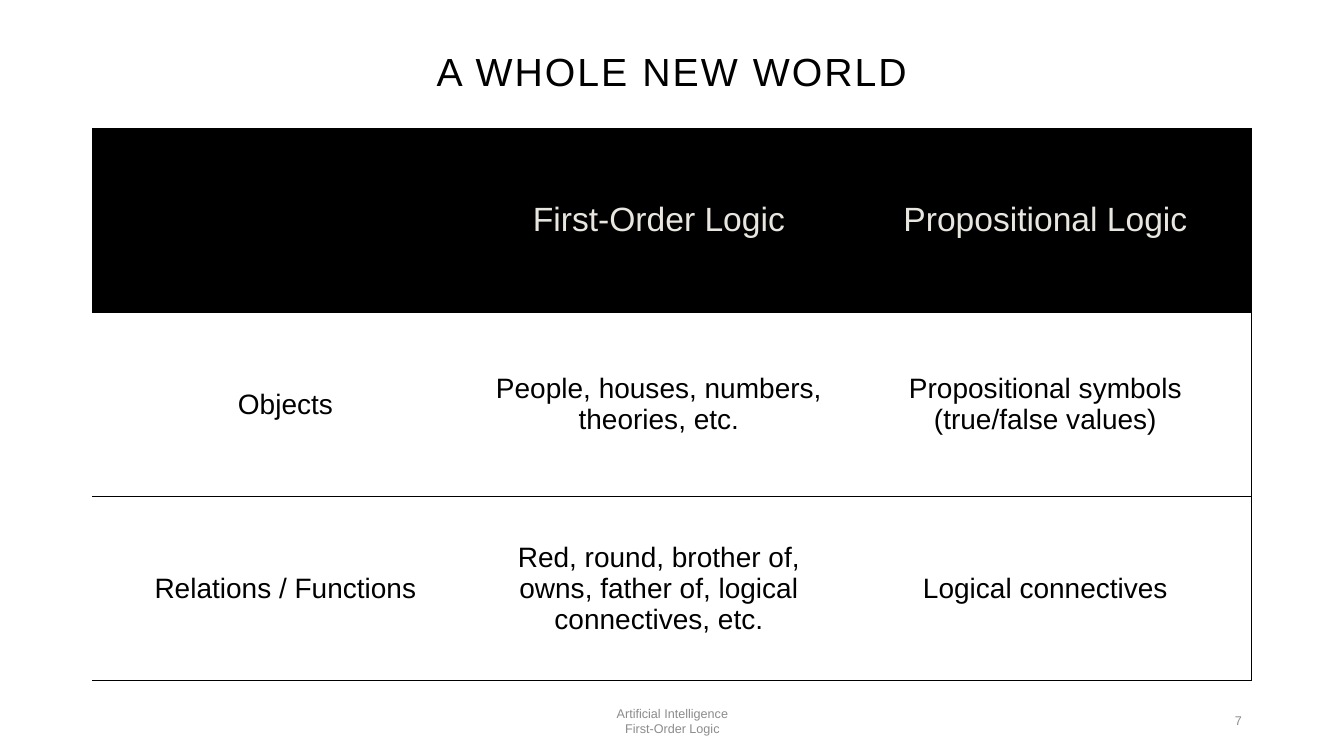
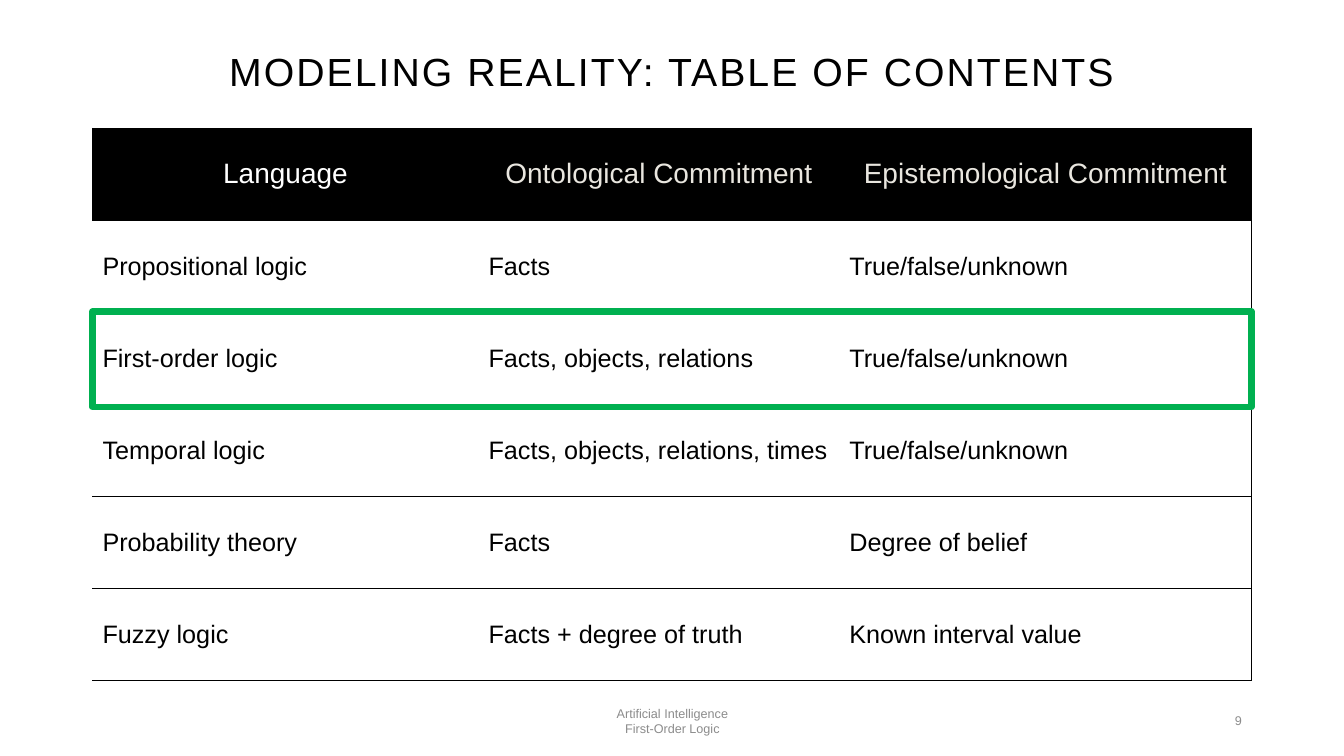
"""Build two table slides comparing first-order logic with other languages."""
from lxml.etree import SubElement
from pptx import Presentation
from pptx.dml.color import RGBColor
from pptx.enum.shapes import MSO_SHAPE
from pptx.enum.text import MSO_ANCHOR, PP_ALIGN
from pptx.oxml.ns import qn
from pptx.util import Cm, Pt

BLACK, WHITE, CREAM, GREY, GREEN = "000000", "FFFFFF", "E9E6DF", "8C8C8C", "00B050"
FONT = "Arial"
LEFT, TOP, WIDTH, HEIGHT = 2.33, 3.23, 29.21, 13.92
COLUMN_WIDTHS = [9.73, 9.09, 10.39]
FOOTER_TOP, FOOTER_HEIGHT = 17.65, 1.02


def color(value):
    return RGBColor.from_string(value)


def write(frame, lines, size, ink, align):
    frame.word_wrap = True
    frame.vertical_anchor = MSO_ANCHOR.MIDDLE
    for index, line in enumerate(lines):
        paragraph = frame.add_paragraph() if index else frame.paragraphs[0]
        paragraph.alignment = align
        run = paragraph.add_run()
        run.text = line
        run.font.name = FONT
        run.font.size = Pt(size)
        run.font.color.rgb = color(ink)
    return paragraph


slides = [
    {
        "title": "A WHOLE NEW WORLD",
        "number": "7",
        "header_size": 24,
        "body_size": 20,
        "body_align": PP_ALIGN.CENTER,
        "rows": [
            ["", "First-Order Logic", "Propositional Logic"],
            ["Objects", "People, houses, numbers, theories, etc.",
             "Propositional symbols (true/false values)"],
            ["Relations / Functions",
             "Red, round, brother of, owns, father of, logical connectives, etc.",
             "Logical connectives"],
        ],
    },
    {
        "title": "MODELING REALITY: TABLE OF CONTENTS",
        "number": "9",
        "header_size": 20,
        "body_size": 18,
        "body_align": PP_ALIGN.LEFT,
        "highlight": (7.85, 2.41),
        "rows": [
            ["Language", "Ontological Commitment", "Epistemological Commitment"],
            ["Propositional logic", "Facts", "True/false/unknown"],
            ["First-order logic", "Facts, objects, relations", "True/false/unknown"],
            ["Temporal logic", "Facts, objects, relations, times", "True/false/unknown"],
            ["Probability theory", "Facts", "Degree of belief"],
            ["Fuzzy logic", "Facts + degree of truth", "Known interval value"],
        ],
    },
]

deck = Presentation()
deck.slide_width, deck.slide_height = Cm(33.87), Cm(19.05)

for content in slides:
    slide = deck.slides.add_slide(deck.slide_layouts[6])

    title = slide.shapes.add_textbox(Cm(LEFT), Cm(1.02), Cm(WIDTH), Cm(1.7))
    heading = write(title.text_frame, [content["title"]], 28, BLACK, PP_ALIGN.CENTER)
    heading.line_spacing = 0.9
    heading.runs[0].font._element.set("spc", "150")

    rows = content["rows"]
    table = slide.shapes.add_table(
        len(rows), len(COLUMN_WIDTHS), Cm(LEFT), Cm(TOP), Cm(WIDTH), Cm(HEIGHT)
    ).table
    table.first_row = table.horz_banding = False
    for column, width in zip(table.columns, COLUMN_WIDTHS):
        column.width = Cm(width)
    for r, texts in enumerate(rows):
        table.rows[r].height = Cm(HEIGHT / len(rows))
        for c, text in enumerate(texts):
            cell = table.cell(r, c)
            is_header = r == 0
            borders = {
                "a:lnL": is_header and c == 0,
                "a:lnR": c == len(texts) - 1,
                "a:lnT": True,
                "a:lnB": True,
            }
            properties = cell._tc.get_or_add_tcPr()
            for tag, visible in borders.items():
                border = SubElement(properties, qn(tag), w=str(Pt(0.5)))
                if visible:
                    fill = SubElement(border, qn("a:solidFill"))
                    SubElement(fill, qn("a:srgbClr"), val=BLACK)
                else:
                    SubElement(border, qn("a:noFill"))
            cell.vertical_anchor = MSO_ANCHOR.MIDDLE
            if is_header:
                cell.fill.solid()
                cell.fill.fore_color.rgb = color(BLACK)
                ink = CREAM if c else WHITE
                size, align = content["header_size"], PP_ALIGN.CENTER
            else:
                cell.fill.background()
                ink, size, align = BLACK, content["body_size"], content["body_align"]
            if text:
                write(cell.text_frame, [text], size, ink, align)

    footer = slide.shapes.add_textbox(
        Cm(11.23), Cm(FOOTER_TOP), Cm(11.43), Cm(FOOTER_HEIGHT))
    write(footer.text_frame, ["Artificial Intelligence", "First-Order Logic"],
          9, GREY, PP_ALIGN.CENTER)
    number = slide.shapes.add_textbox(
        Cm(23.93), Cm(FOOTER_TOP), Cm(7.62), Cm(FOOTER_HEIGHT))
    write(number.text_frame, [content["number"]], 9, GREY, PP_ALIGN.RIGHT)

    if "highlight" in content:
        top, height = content["highlight"]
        highlight = slide.shapes.add_shape(
            MSO_SHAPE.RECTANGLE, Cm(LEFT), Cm(top), Cm(WIDTH), Cm(height))
        highlight.shadow.inherit = False
        highlight.fill.background()
        highlight.line.color.rgb = color(GREEN)
        highlight.line.width = Pt(4.5)

deck.save("out.pptx")
